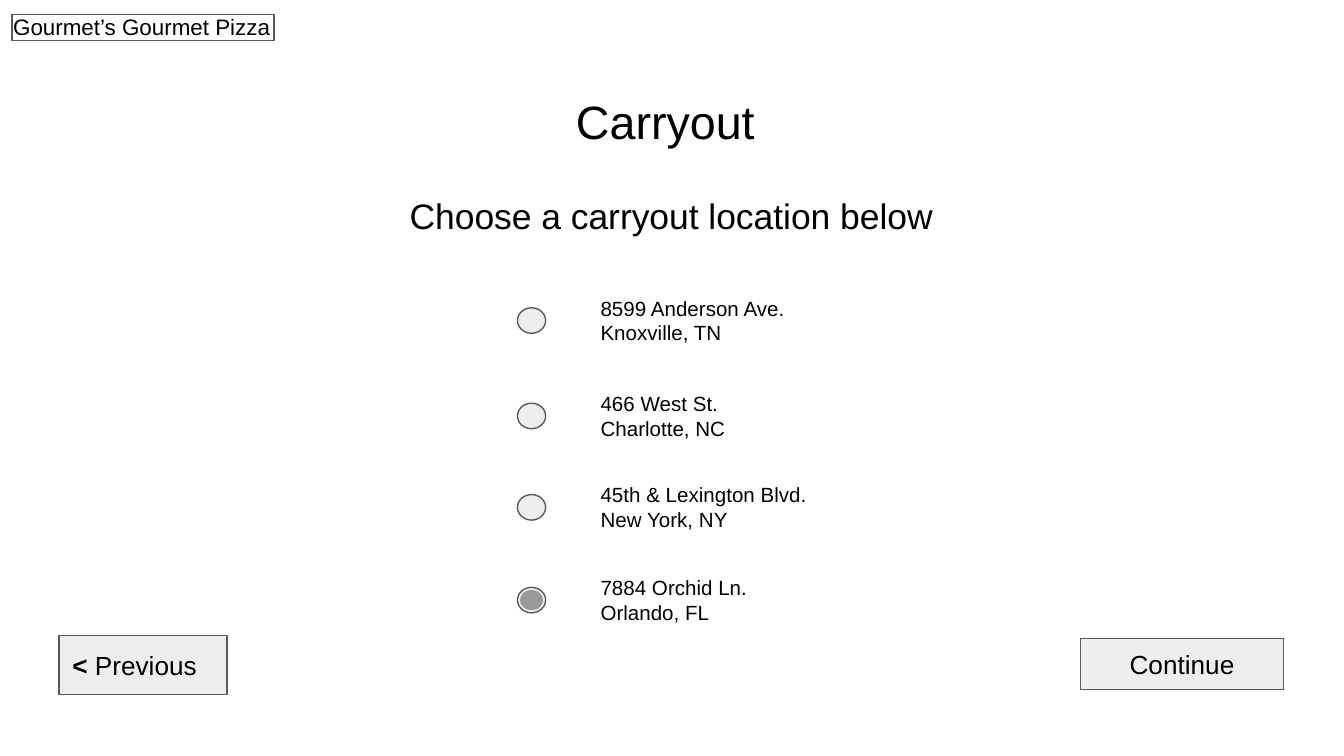
from pptx import Presentation
from pptx.dml.color import RGBColor
from pptx.enum.shapes import MSO_SHAPE
from pptx.enum.text import MSO_ANCHOR, MSO_AUTO_SIZE, PP_ALIGN
from pptx.util import Inches, Pt

COLORS = {"text": "000000", "light": "EEEEEE", "chosen": "999999", "line": "595959"}

# Top of each row, street, city, chosen or not
LOCATIONS = [
    (2.1, "8599 Anderson Ave.", "Knoxville, TN", False),
    (2.81, "466 West St.", "Charlotte, NC", False),
    (3.49, "45th & Lexington Blvd.", "New York, NY", False),
    (4.18, "7884 Orchid Ln.", "Orlando, FL", True),
]


def color(name):
    return RGBColor.from_string(COLORS[name])


def write(box, lines, size, align=PP_ALIGN.LEFT, anchor=MSO_ANCHOR.TOP):
    """Fill a box with one paragraph per line."""
    frame = box.text_frame
    frame.word_wrap = True
    frame.auto_size = MSO_AUTO_SIZE.NONE
    frame.vertical_anchor = anchor
    frame.margin_left = frame.margin_right = Inches(0.1)
    frame.margin_top = frame.margin_bottom = Inches(0.1)
    frame.text = "\n".join(lines)
    for para in frame.paragraphs:
        para.alignment = align
        para.space_before = Pt(0)
        para.line_spacing = 1.0
        para.font.name = "Arial"
        para.font.size = Pt(size)
        para.font.color.rgb = color("text")


def add_text(page, area, lines, size):
    box = page.shapes.add_textbox(*map(Inches, area))
    write(box, lines, size)


def fill_placeholder(holder, area, text, size):
    holder.left, holder.top, holder.width, holder.height = map(Inches, area)
    write(holder, [text], size, PP_ALIGN.CENTER)


def add_figure(shapes, kind, area, fill=None, outlined=True):
    figure = shapes.add_shape(kind, *map(Inches, area))
    figure.shadow.inherit = False
    if fill:
        figure.fill.solid()
        figure.fill.fore_color.rgb = color(fill)
    else:
        figure.fill.background()
    if outlined:
        figure.line.color.rgb = color("line")
        figure.line.width = Pt(0.75)
    else:
        figure.line.fill.background()
    return figure


def add_radio(page, top, chosen):
    """A ring with a dot inside, grouped."""
    group = page.shapes.add_group_shape()
    add_figure(group.shapes, MSO_SHAPE.OVAL, (3.85, top, 0.21, 0.19), "light")
    add_figure(group.shapes, MSO_SHAPE.OVAL, (3.87, top + 0.02, 0.17, 0.15),
               "chosen" if chosen else "light", outlined=False)


def add_button(page, area, text, align):
    button = add_figure(page.shapes, MSO_SHAPE.RECTANGLE, area, "light")
    write(button, [text], 14, align, MSO_ANCHOR.MIDDLE)
    return button


def main():
    # Widescreen page, 16:9
    deck = Presentation()
    deck.slide_width = Inches(10)
    deck.slide_height = deck.slide_width * 9 // 16
    page = deck.slides.add_slide(deck.slide_layouts[0])

    # Shop name
    add_text(page, (0, 0, 2.96, 0.4), ["Gourmet’s Gourmet Pizza"], 12)
    add_figure(page.shapes, MSO_SHAPE.RECTANGLE, (0.09, 0.11, 1.95, 0.19))

    # Headings
    fill_placeholder(page.shapes.title, (2.1, 0.59, 5.7, 0.62), "Carryout", 25)
    fill_placeholder(page.placeholders[1], (2.42, 1.34, 5.15, 0.52),
                     "Choose a carryout location below", 19)

    # Locations
    for top, street, city, chosen in LOCATIONS:
        add_text(page, (4.37, top, 3.09, 0.57), [street, city], 11)
        add_radio(page, top + 0.19, chosen)

    # Buttons
    add_button(page, (8.04, 4.75, 1.51, 0.38), "Continue", PP_ALIGN.CENTER)
    previous = add_button(page, (0.44, 4.73, 1.25, 0.44), "<", PP_ALIGN.LEFT)
    para = previous.text_frame.paragraphs[0]
    para.runs[0].font.bold = True
    span = para.add_run()
    span.text = " Previous"

    deck.save("out.pptx")


if __name__ == "__main__":
    main()
